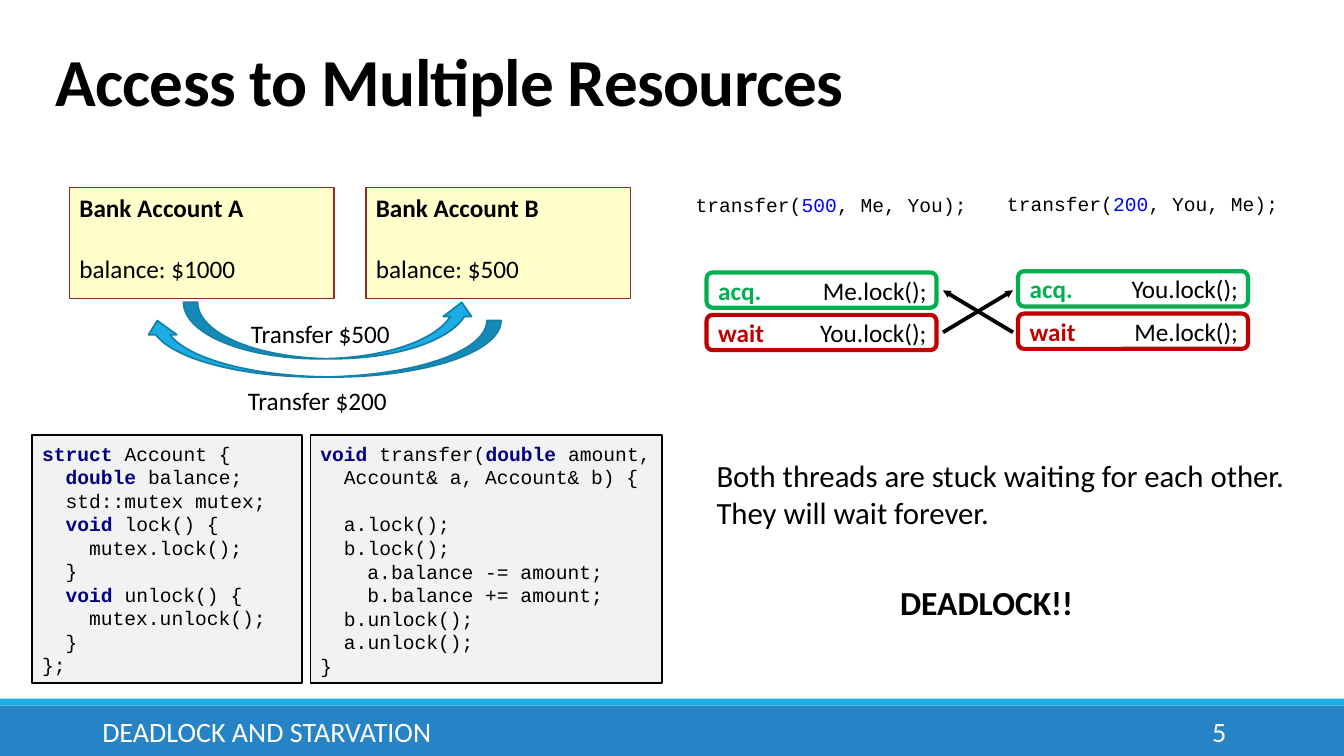
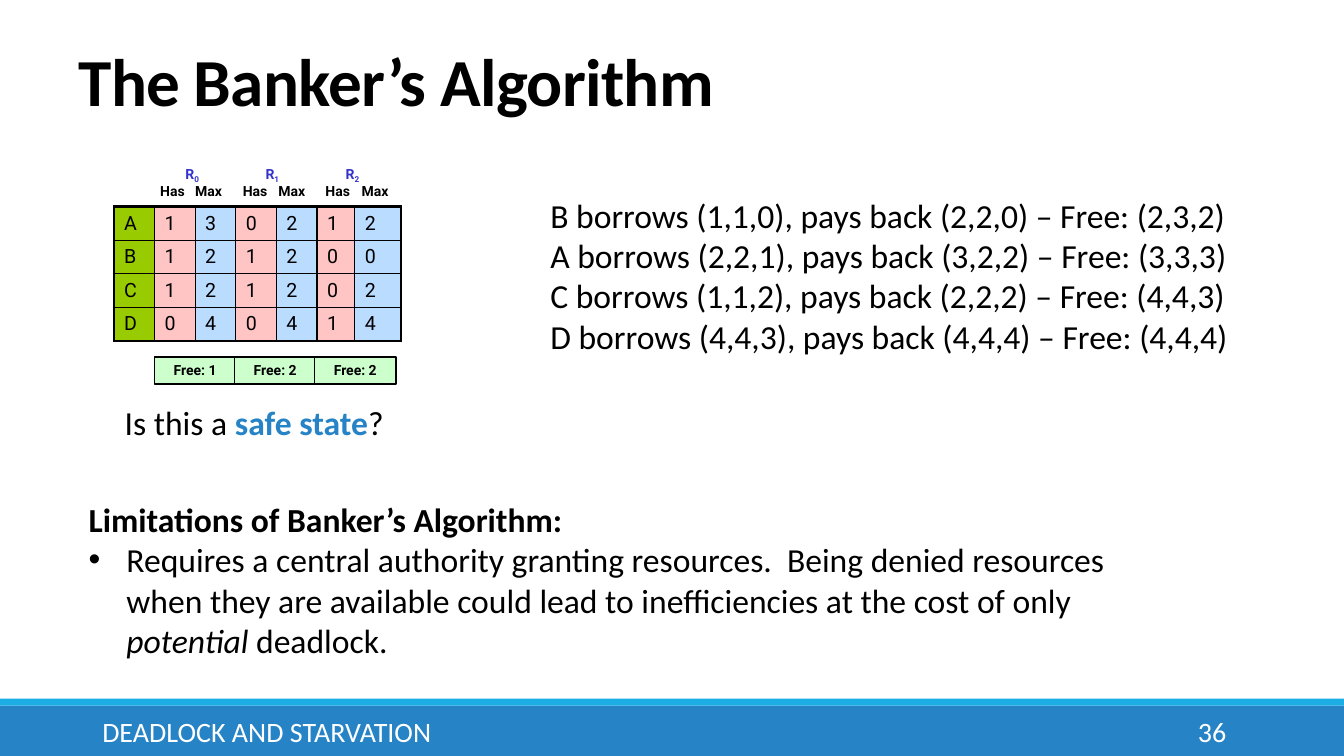
from itertools import product

from lxml import etree
from pptx import Presentation
from pptx.dml.color import RGBColor
from pptx.enum.shapes import MSO_CONNECTOR, MSO_SHAPE
from pptx.enum.text import MSO_ANCHOR, PP_ALIGN
from pptx.oxml.ns import qn
from pptx.util import Pt

RECTANGLE, ROUNDED = MSO_SHAPE.RECTANGLE, MSO_SHAPE.ROUNDED_RECTANGLE
CURVED_ARROW, STRAIGHT = MSO_SHAPE.CURVED_UP_ARROW, MSO_CONNECTOR.STRAIGHT
TOP, MIDDLE, BOTTOM = MSO_ANCHOR.TOP, MSO_ANCHOR.MIDDLE, MSO_ANCHOR.BOTTOM
LEFT, CENTER, RIGHT = PP_ALIGN.LEFT, PP_ALIGN.CENTER, PP_ALIGN.RIGHT

COLORS = {
    "black": "000000", "white": "FFFFFF", "blue": "2683C6", "cyan": "1CADE4",
    "cyan edge": "1580A9", "cream": "FFFFCC", "maroon": "8D2B2B", "grey": "F2F2F2",
    "keyword": "000080", "number": "0000FF", "green": "00B050", "red": "C00000",
    "client": "99CC00", "has": "FFC5C5", "max": "B9DCFF", "free": "CCFFCC",
    "resource": "3333CC",
}
BODY = {"name": "Calibri", "size": Pt(18), "color": "black"}
LARGE = {**BODY, "size": Pt(24)}
TITLE = {**BODY, "size": Pt(48), "bold": True, "spc": -50}
FOOTER = {**BODY, "size": Pt(20), "color": "white"}
CODE = {"name": "Courier New", "size": Pt(14), "color": "black"}
CELL = {"name": "Roboto", "size": Pt(14), "color": "black"}
LABEL = {**CELL, "size": Pt(10), "bold": True}
KEYWORDS = ("struct", "double", "void")
CODE_INDENT = 16.8
RUN_XML = ("spc", "baseline")
PARAGRAPH_XML = ("marL", "indent")

ACCOUNT_CODE = [
    (0, "struct Account {"), (1, "double balance;"), (1, "std::mutex mutex;"),
    (1, "void lock() {"), (2, "mutex.lock();"), (1, "}"),
    (1, "void unlock() {"), (2, "mutex.unlock();"), (1, "}"), (0, "};"),
]
SIGNATURE_CODE = [(0, "void transfer(double amount,"), (1, "Account& a, Account& b) {")]
TRANSFER_CODE = [
    (1, "a.lock();"), (1, "b.lock();"), (2, "a.balance -= amount;"),
    (2, "b.balance += amount;"), (1, "b.unlock();"), (1, "a.unlock();"), (0, "}"),
]
CLAIMS = ("A130212", "B121200", "C121202", "D040414")
PAYBACKS = (
    "B borrows (1,1,0), pays back (2,2,0) – Free: (2,3,2)",
    "A borrows (2,2,1), pays back (3,2,2) – Free: (3,3,3)",
    "C borrows (1,1,2), pays back (2,2,2) – Free: (4,4,3)",
    "D borrows (4,4,3), pays back (4,4,4) – Free: (4,4,4)",
)


def color(name):
    """Return the named colour."""
    return RGBColor.from_string(COLORS[name])


def points(values):
    """Turn numbers into lengths in points."""
    return [Pt(value) for value in values]


def line(*runs, **layout):
    """Describe a paragraph by its runs and its layout."""
    return [run if isinstance(run, tuple) else (run, {}) for run in runs], layout


def write(frame, style, lines, anchor=TOP, wrap=True):
    """Fill a text frame with styled paragraphs."""
    frame.word_wrap, frame.vertical_anchor = wrap, anchor
    for index, (runs, layout) in enumerate(lines):
        paragraph = frame.add_paragraph() if index else frame.paragraphs[0]
        properties = paragraph._p.get_or_add_pPr()
        for key, value in {"alignment": LEFT, **layout}.items():
            if key in PARAGRAPH_XML:
                properties.set(key, str(value))
            elif key == "bullet":
                etree.SubElement(properties, qn("a:buFont")).set("typeface", "Arial")
                etree.SubElement(properties, qn("a:buChar")).set("char", value)
            else:
                setattr(paragraph, key, value)
        for text, changes in runs:
            run = paragraph.add_run()
            run.text = text
            for key, value in {**style, **changes}.items():
                if key in RUN_XML:
                    run._r.get_or_add_rPr().set(key, str(value))
                elif key == "color":
                    run.font.color.rgb = color(value)
                else:
                    setattr(run.font, key, value)


def add_text(slide, box, style, *lines, **options):
    """Add a text box."""
    write(slide.shapes.add_textbox(*points(box)).text_frame, style, lines, **options)


def add_box(slide, kind, box, fill=None, edge=None, width=1.25):
    """Add a flat preset shape."""
    shape = slide.shapes.add_shape(kind, *points(box))
    shape.shadow.inherit = False
    if fill:
        shape.fill.solid()
        shape.fill.fore_color.rgb = color(fill)
    else:
        shape.fill.background()
    if edge:
        shape.line.color.rgb = color(edge)
        shape.line.width = Pt(width)
    else:
        shape.line.fill.background()
    return shape


def add_arrow(slide, start, end):
    """Add a thick black arrow."""
    connector = slide.shapes.add_connector(STRAIGHT, *points(start + end))
    connector.line.color.rgb = color("black")
    connector.line.width = Pt(2.75)
    head = etree.SubElement(connector.line._get_or_add_ln(), qn("a:tailEnd"))
    for key, value in {"type": "triangle", "w": "sm", "len": "sm"}.items():
        head.set(key, value)
    etree.SubElement(connector._element.spPr, qn("a:effectLst"))


def add_slide(presentation, title, left, number):
    """Add a slide with its title, bands and footer."""
    slide = presentation.slides.add_slide(presentation.slide_layouts[6])
    add_box(slide, RECTANGLE, (0, 504, 960, 36), "blue")
    add_box(slide, RECTANGLE, (0, 499, 960, 5), "cyan")
    add_text(slide, (left, 28, 792, 61.5), TITLE, line(title, line_spacing=0.85), anchor=BOTTOM)
    add_text(slide, (66, 508, 604, 29), FOOTER, line("DEADLOCK AND STARVATION"), anchor=MIDDLE)
    add_text(slide, (780, 508, 103, 29), FOOTER, line(number, alignment=RIGHT), anchor=MIDDLE)
    return slide


def code_line(level, text, **layout):
    """Describe a line of code with its keywords marked."""
    words = text.replace("(", "( ").split(" ") if "(double" in text else text.split(" ")
    runs = []
    for index, word in enumerate(words):
        gap = "" if index == len(words) - 1 or word.endswith("(") else " "
        runs.append((word + gap, {"color": "keyword", "bold": True} if word in KEYWORDS else {}))
    return line(*runs, marL=Pt(level * CODE_INDENT), indent=0, **layout)


def add_code(slide, box, lines, wrap=True):
    """Add a framed listing."""
    shape = add_box(slide, RECTANGLE, box, "grey", "black")
    write(shape.text_frame, CODE, lines, anchor=MIDDLE, wrap=wrap)


def add_accounts(slide, left, top):
    """Draw two accounts and the transfers between them."""
    for index, (name, balance) in enumerate((("A", "$1000"), ("B", "$500"))):
        box = (left + index * 211.7, top, 189, 79.2)
        shape = add_box(slide, RECTANGLE, box, "cream", "maroon")
        write(shape.text_frame, BODY, [
            line(("Bank Account " + name, {"bold": True})),
            line("balance: " + balance, space_before=Pt(22)),
        ])
    transfers = (
        ("$500", (81.4, 82, 208.8, 40.3), (122.4, 90), False),
        ("$200", (52.6, 95, 255.6, 40.3), (120.2, 137.5), True),
    )
    for amount, (x, y, width, height), (label_x, label_y), backwards in transfers:
        box = (left + x, top + y, width, height)
        arrow = add_box(slide, CURVED_ARROW, box, "cyan", "cyan edge")
        if backwards:
            arrow._element.spPr.xfrm.set("flipH", "1")
        box = (left + label_x, top + label_y, 115.2, 29)
        add_text(slide, box, BODY, line("Transfer " + amount), wrap=False)


def add_thread(slide, left, top, amount, first, second):
    """Draw one thread's call with the lock it holds and the one it awaits."""
    call = line("transfer(", (amount, {"color": "number"}), f", {first}, {second});")
    add_text(slide, (left - 15, top, 209, 24.5), CODE, call, wrap=False)
    states = (("acq.", first, "green"), ("wait", second, "red"))
    for index, (state, owner, tint) in enumerate(states):
        box = (left, top + 60 + index * 30.3, 164.2, 25.2)
        call = line(owner + ".lock();", alignment=RIGHT)
        add_text(slide, box, BODY, call, anchor=MIDDLE)
        shape = add_box(slide, ROUNDED, box, edge=tint, width=3)
        state_style = {**BODY, "color": tint, "bold": True}
        write(shape.text_frame, state_style, [line(state)], anchor=MIDDLE)


def add_crossing(slide, left, top, width, height):
    """Draw two arrows that cross in the given box."""
    right, bottom = left + width, top + height
    add_arrow(slide, (left, bottom), (right, top))
    add_arrow(slide, (right, bottom), (left, top))


def set_borders(cell, widths):
    """Give a cell black borders by side."""
    properties = cell._tc.get_or_add_tcPr()
    for side in "LRTB":
        border = etree.SubElement(properties, qn("a:ln" + side), w=str(Pt(widths[side])))
        fill = etree.SubElement(border, qn("a:solidFill"))
        etree.SubElement(fill, qn("a:srgbClr"), val=COLORS["black"])


def add_claims(slide, left, top):
    """Draw the table of claims with its headings and free counts."""
    widths = [29] * 5 + [27, 33]
    last_row, last_column = len(CLAIMS) - 1, len(widths) - 1
    table = slide.shapes.add_table(
        len(CLAIMS), len(widths), *points((left, top, sum(widths), 96))).table
    table.first_row = table.horz_banding = False
    for column, width in zip(table.columns, widths):
        column.width = Pt(width)
    for row, column in product(range(len(CLAIMS)), range(len(widths))):
        cell = table.cell(row, column)
        outer = {"L": column == 0, "R": column == last_column,
                 "T": row == 0, "B": row == last_row}
        set_borders(cell, {side: 2.25 if edge else 1 for side, edge in outer.items()})
        cell.fill.solid()
        tint = "client" if column == 0 else ("max", "has")[column % 2]
        cell.fill.fore_color.rgb = color(tint)
        write(cell.text_frame, CELL, [line(CLAIMS[row][column])])
        cell.vertical_anchor = MIDDLE
    for index, free in enumerate((1, 2, 2)):
        headings = (
            (26 + index * 59, -20.5, line("Has")),
            (51 + index * 59.4, -20.5, line("Max")),
            (44 + index * 57.2, -33, line(
                ("R", {"color": "resource"}),
                (str(index), {"color": "resource", "baseline": -25000}))),
        )
        for x, y, heading in headings:
            add_text(slide, (left + x, top + y, 39, 19.4), LABEL, heading)
        box = (left + 28.8 + index * 57.2, top + 107.5, 58.3, 19.4)
        shape = add_box(slide, RECTANGLE, box, "free", "black", 1)
        write(shape.text_frame, LABEL, [line(f"Free: {free}", alignment=CENTER)])


def add_resources_slide(presentation):
    """Build the slide on access to multiple resources."""
    slide = add_slide(presentation, "Access to Multiple Resources", 32.4, "5")
    add_accounts(slide, 49.7, 134)
    add_code(slide, (23, 311, 193, 177), [code_line(*item) for item in ACCOUNT_CODE])
    signature = [code_line(*item) for item in SIGNATURE_CODE]
    first, *rest = TRANSFER_CODE
    body = [code_line(*first, space_before=Pt(17))] + [code_line(*item) for item in rest]
    add_code(slide, (221.8, 311, 251.3, 177), signature + body, wrap=False)
    add_thread(slide, 504.7, 134.6, "500", "Me", "You")
    add_thread(slide, 727.2, 133.7, "200", "You", "Me")
    add_crossing(slide, 673.6, 207.4, 50, 30)
    add_text(slide, (504.7, 322.5, 425, 60.5), {**BODY, "size": Pt(22)},
             line("Both threads are stuck waiting for each other."),
             line("They will wait forever."), wrap=False)
    add_text(slide, (635.8, 412, 139.7, 36), {**LARGE, "bold": True},
             line("DEADLOCK!!"), wrap=False)


def add_banker_slide(presentation):
    """Build the slide on the banker's algorithm."""
    slide = add_slide(presentation, "The Banker’s Algorithm", 49, "36")
    add_claims(slide, 81.4, 147.5)
    emphasis = {"color": "blue", "bold": True}
    add_text(slide, (82, 283.7, 255, 36), LARGE,
             line("Is this a ", ("safe state", emphasis), "?"))
    add_text(slide, (386, 135.4, 516, 152.6), LARGE, *[line(text) for text in PAYBACKS])
    add_text(slide, (56.2, 352.8, 778.3, 123.8), LARGE,
             line(("Limitations of Banker’s Algorithm:", {"bold": True})),
             line("Requires a central authority granting resources.  Being denied resources "
                  "when they are available could lead to inefficiencies at the cost of only ",
                  ("potential", {"italic": True}), " deadlock.",
                  marL=Pt(27), indent=-Pt(27), bullet="•"))


def main():
    """Build and save the presentation."""
    presentation = Presentation()
    presentation.slide_width, presentation.slide_height = points((960, 540))
    add_resources_slide(presentation)
    add_banker_slide(presentation)
    presentation.save("out.pptx")


if __name__ == "__main__":
    main()
